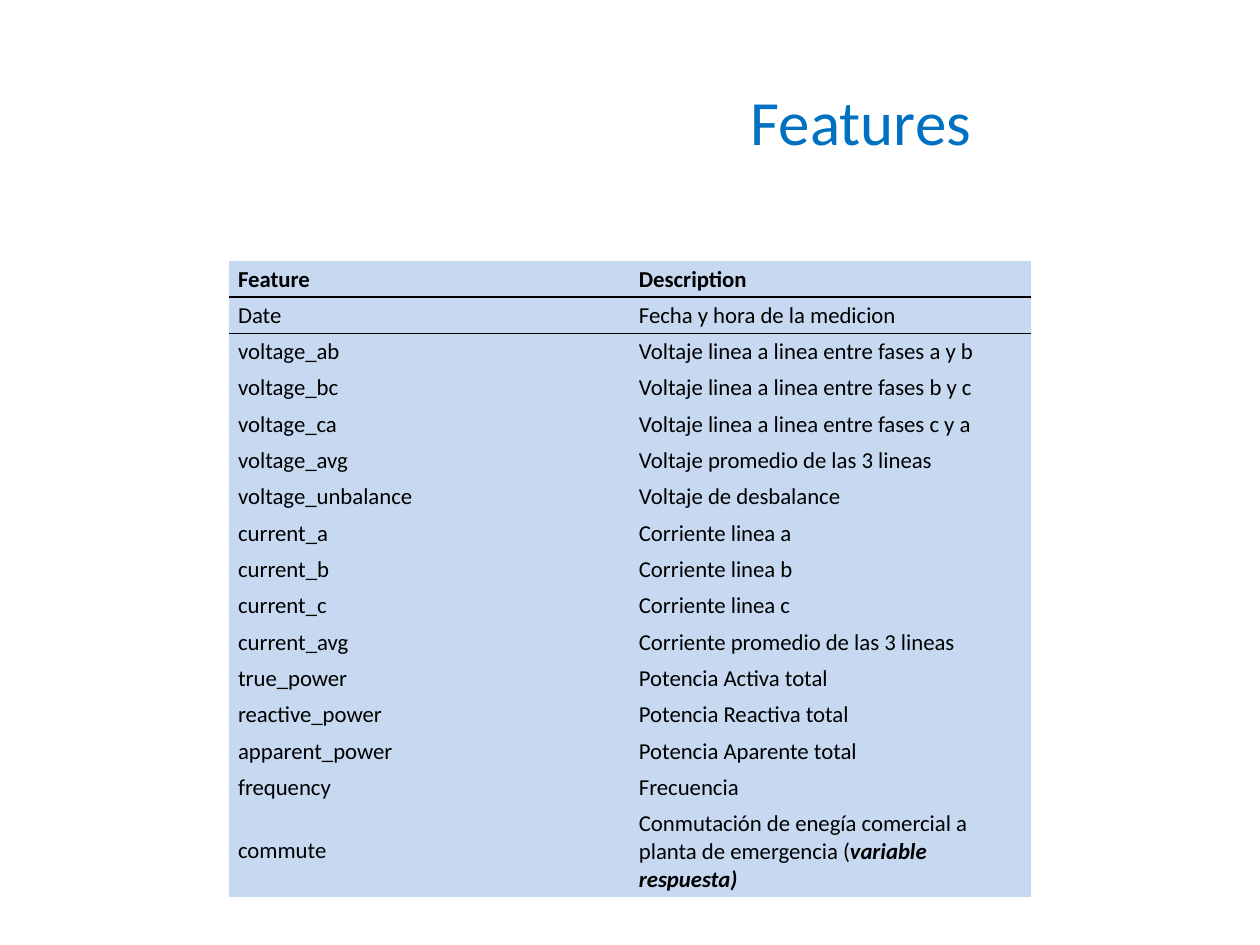
from dataclasses import dataclass

from lxml.etree import SubElement
from pptx import Presentation
from pptx.dml.color import RGBColor as RGB
from pptx.enum.text import MSO_ANCHOR as Anchor, PP_ALIGN as Align
from pptx.oxml import parse_xml
from pptx.oxml.ns import qn
from pptx.util import Cm, Pt


@dataclass(frozen=True)
class Theme:
    face: str = "Calibri"
    blue: str = "0070C0"
    ink: str = "000000"
    pale: str = "C6D9F1"
    head: int = 36
    body: int = 13


theme = Theme()
PLAIN = "{2D5ABB26-0587-4C30-8999-92F81FD0307C}"  # table style without grid
A_NS = "http://schemas.openxmlformats.org/drawingml/2006/main"

rows = [
    ("Feature", "Description"),
    ("Date", "Fecha y hora de la medicion"),
    ("voltage_ab", "Voltaje linea a linea entre fases a y b"),
    ("voltage_bc", "Voltaje linea a linea entre fases b y c"),
    ("voltage_ca", "Voltaje linea a linea entre fases c y a"),
    ("voltage_avg", "Voltaje promedio de las 3 lineas"),
    ("voltage_unbalance", "Voltaje de desbalance"),
    ("current_a", "Corriente linea a"),
    ("current_b", "Corriente linea b"),
    ("current_c", "Corriente linea c"),
    ("current_avg", "Corriente promedio de las 3 lineas"),
    ("true_power", "Potencia Activa total"),
    ("reactive_power", "Potencia Reactiva total"),
    ("apparent_power", "Potencia Aparente total"),
    ("frequency", "Frecuencia"),
    ("commute", "Conmutación de enegía comercial a planta de emergencia ("),
]


def style(font, size, color):
    font.name = theme.face
    font.size = Pt(size)
    font.color.rgb = RGB.from_string(color)


def rule(cell, side):
    """Draw a 1 pt line on one side of a cell."""
    props = cell._tc.get_or_add_tcPr()
    line = parse_xml(f'<a:{side} xmlns:a="{A_NS}" w="{Pt(1)}"/>')
    fill = SubElement(line, qn("a:solidFill"))
    SubElement(fill, qn("a:srgbClr"), val=theme.ink)
    props.insert(0, line)


deck = Presentation()
deck.slide_width, deck.slide_height = Cm(25.4), Cm(19.05)
slide = deck.slides.add_slide(deck.slide_layouts[6])

# Title
box = slide.shapes.add_textbox(Cm(10.77), Cm(1.02), Cm(13.18), Cm(2.82))
frame = box.text_frame
frame.word_wrap = True
frame.vertical_anchor = Anchor.MIDDLE
frame.text = "Features"
para = frame.paragraphs[0]
para.alignment = Align.CENTER
style(para.font, theme.head, theme.blue)

# Table of features
high, last = Cm(0.72), Cm(1.8)
grid = slide.shapes.add_table(
    len(rows), 2, Cm(4.62), Cm(5.26), Cm(16.16), high * (len(rows) - 1) + last
)
table = grid.table
table.first_row = table.horz_banding = False
table._tbl.tblPr.find(qn("a:tableStyleId")).text = PLAIN
for row in table.rows:
    row.height = high
table.rows[len(rows) - 1].height = last

for r, pair in enumerate(rows):
    for c, text in enumerate(pair):
        cell = table.cell(r, c)
        cell.text = text
        cell.vertical_anchor = Anchor.MIDDLE
        cell.margin_left = cell.margin_right = Cm(0.18)
        cell.margin_top = cell.margin_bottom = Cm(0.09)
        cell.fill.solid()
        cell.fill.fore_color.rgb = RGB.from_string(theme.pale)
        para = cell.text_frame.paragraphs[0]
        style(para.font, theme.body, theme.ink)
        para.font.bold = r == 0

# Emphasis on the response variable
run = para.add_run()
run.text = "variable respuesta)"
run.font.bold = run.font.italic = True

# Line below the header
for c in range(2):
    rule(table.cell(0, c), "lnB")
    rule(table.cell(1, c), "lnT")

deck.save("out.pptx")
